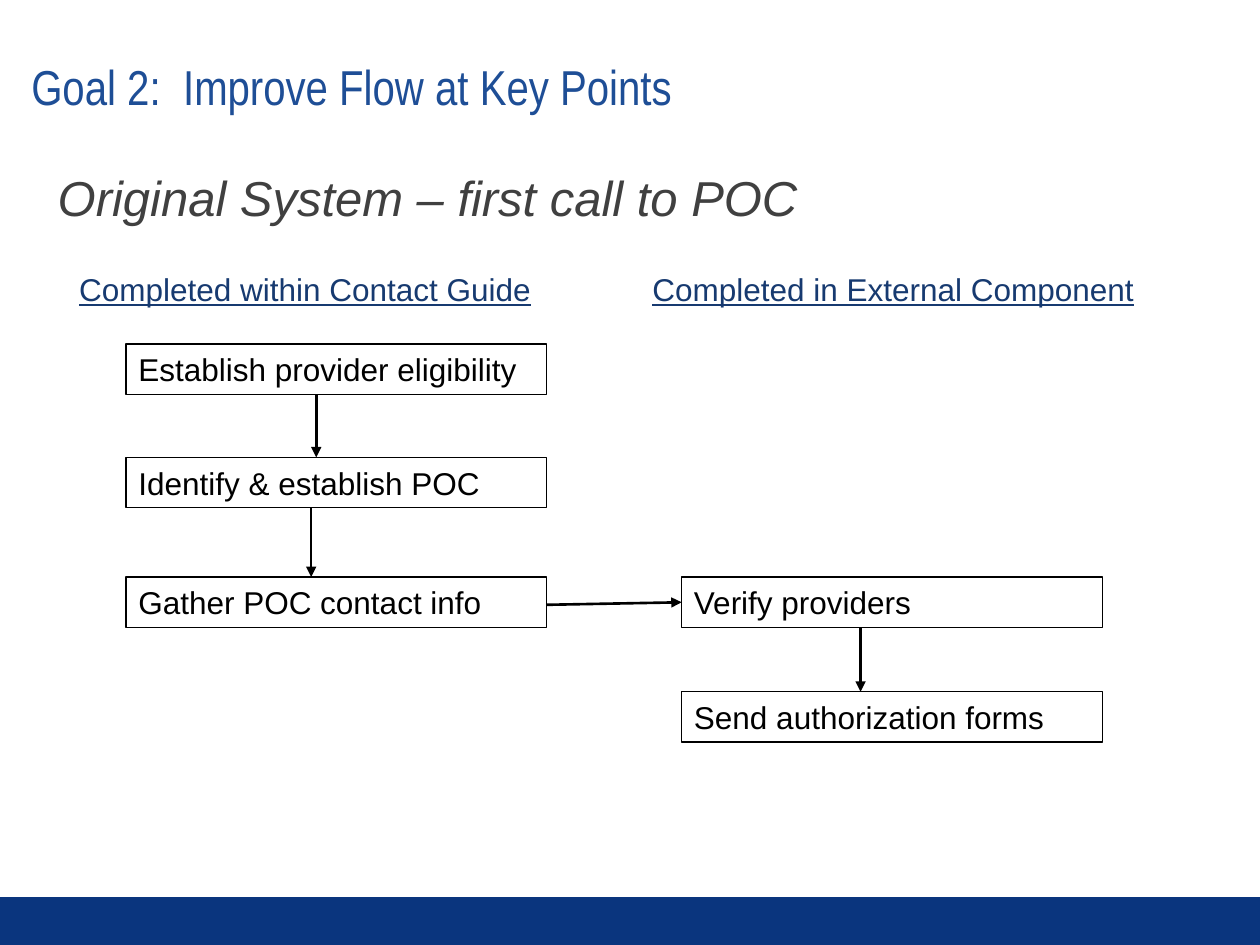
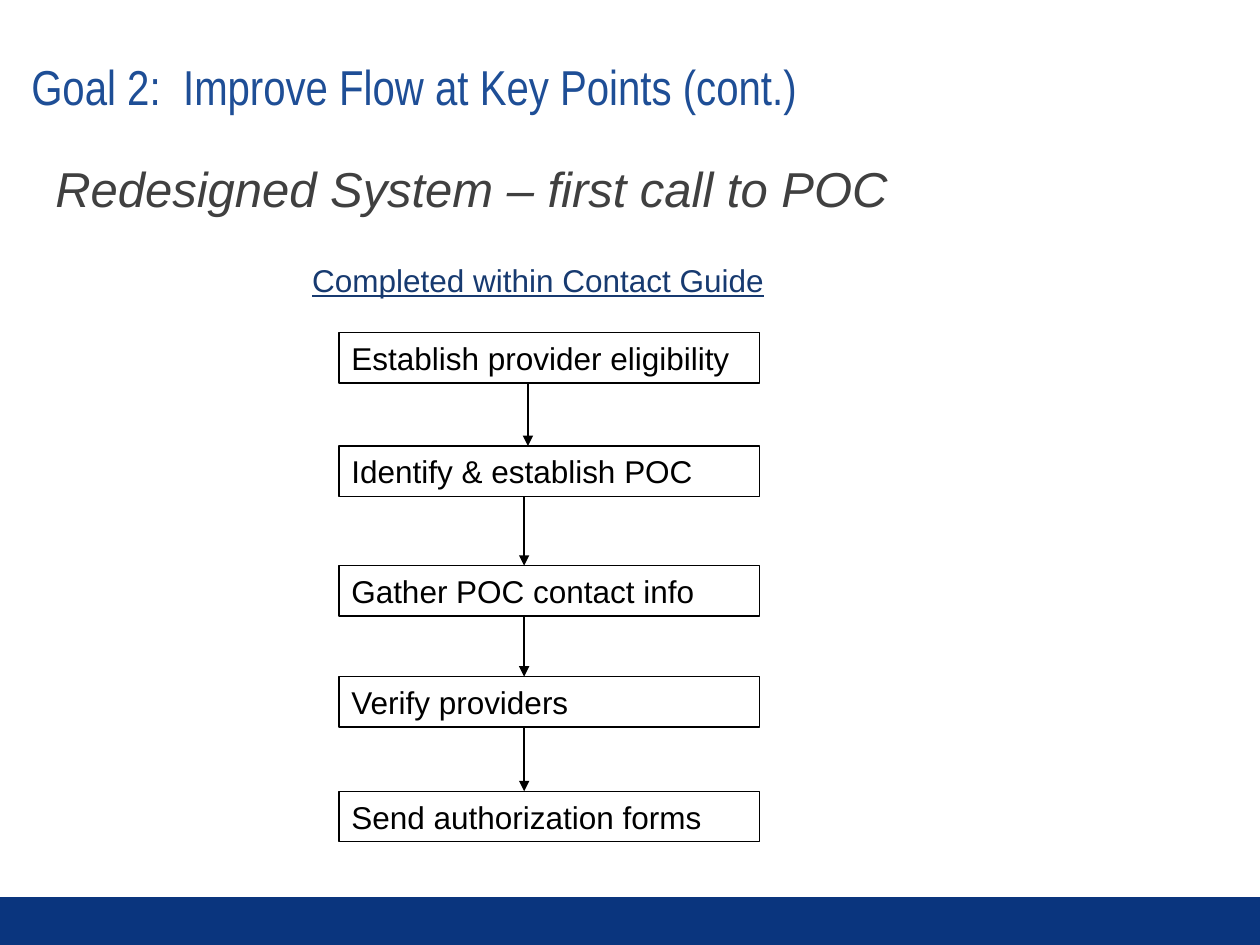
from lxml.etree import SubElement
from pptx import Presentation
from pptx.dml.color import RGBColor
from pptx.enum.shapes import MSO_CONNECTOR, MSO_SHAPE
from pptx.enum.text import MSO_ANCHOR, PP_ALIGN
from pptx.oxml.ns import qn
from pptx.util import Inches, Pt

COLORS = {"band": "0A357E", "title": "1E4E96", "subtitle": "404040",
          "heading": "173A70", "ink": "000000"}
TITLE = {"name": "Arial Narrow", "size": Pt(28), "color": "title"}
SUBTITLE = {"name": "Arial", "size": Pt(28), "italic": True, "color": "subtitle"}
HEADING = {"name": "Arial", "size": Pt(18), "underline": True, "color": "heading"}
STEP = {"name": "Arial", "size": Pt(18), "color": "ink"}
BOX_WIDTH, BOX_HEIGHT = 3.34, 0.4

STEPS = ["Establish provider eligibility", "Identify & establish POC",
         "Gather POC contact info", "Verify providers", "Send authorization forms"]

# Each column: heading, heading left, box left, steps, box tops, arrow positions
SLIDES = [
    {"title": "Goal 2:  Improve Flow at Key Points",
     "subtitle": "Original System – first call to POC",
     "subtitle_at": (0.36, 1.29), "heading_top": 2.1,
     "columns": [
         ("Completed within Contact Guide", 0.53, 1, STEPS[:3],
          [2.73, 3.63, 4.58], [2.51, 2.47]),
         ("Completed in External Component", 5.08, 5.41, STEPS[3:],
          [4.58, 5.49], [6.83])],
     "cross_arrows": [(4.34, 4.8, 5.41, 4.78)]},
    {"title": "Goal 2:  Improve Flow at Key Points (cont.)",
     "subtitle": "Redesigned System – first call to POC",
     "subtitle_at": (0.34, 1.22), "heading_top": 2.03,
     "columns": [
         ("Completed within Contact Guide", 2.38, 2.69, STEPS,
          [2.64, 3.54, 4.49, 5.37, 6.28], [4.19, 4.16, 4.16, 4.16])],
     "cross_arrows": []},
]


def write_text(shape, text, style):
    frame = shape.text_frame
    frame.word_wrap = True
    frame.vertical_anchor = MSO_ANCHOR.MIDDLE
    paragraph = frame.paragraphs[0]
    paragraph.text = text
    paragraph.alignment = PP_ALIGN.LEFT
    for name, value in style.items():
        if name == "color":
            paragraph.font.color.rgb = RGBColor.from_string(COLORS[value])
        else:
            setattr(paragraph.font, name, value)
    return paragraph


def add_arrow(slide, *ends):
    arrow = slide.shapes.add_connector(MSO_CONNECTOR.STRAIGHT, *map(Inches, ends))
    arrow.line.color.rgb = RGBColor.from_string(COLORS["ink"])
    arrow.line.width = Pt(1.5)
    properties = arrow.line._get_or_add_ln()
    SubElement(properties, qn("a:tailEnd"), type="triangle")
    SubElement(properties.getparent(), qn("a:effectLst"))


presentation = Presentation()
presentation.slide_width = Inches(10)
presentation.slide_height = Inches(7.5)

for content in SLIDES:
    slide = presentation.slides.add_slide(presentation.slide_layouts[6])
    shapes = slide.shapes

    band = shapes.add_shape(MSO_SHAPE.RECTANGLE, 0, Inches(7.12), Inches(10), Inches(0.38))
    band.shadow.inherit = False
    band.fill.solid()
    band.fill.fore_color.rgb = RGBColor.from_string(COLORS["band"])
    band.line.fill.background()

    title = shapes.add_textbox(Inches(0.15), Inches(0.2), Inches(9.67), Inches(1.02))
    write_text(title, content["title"], TITLE).line_spacing = 0.9
    title.text_frame.margin_right = Inches(0.2)

    left, top = content["subtitle_at"]
    subtitle = shapes.add_textbox(Inches(left), Inches(top), Inches(9.12), Inches(0.54))
    write_text(subtitle, content["subtitle"], SUBTITLE)

    for heading, heading_left, box_left, steps, tops, arrow_lefts in content["columns"]:
        heading_box = shapes.add_textbox(Inches(heading_left), Inches(content["heading_top"]),
                                         Inches(4.3), Inches(0.38))
        write_text(heading_box, heading, HEADING)

        for step, top in zip(steps, tops):
            box = shapes.add_shape(MSO_SHAPE.RECTANGLE, Inches(box_left), Inches(top),
                                   Inches(BOX_WIDTH), Inches(BOX_HEIGHT))
            box.shadow.inherit = False
            box.fill.background()
            box.line.color.rgb = RGBColor.from_string(COLORS["ink"])
            box.line.width = Pt(0.75)
            write_text(box, step, STEP)

        for x, top, next_top in zip(arrow_lefts, tops, tops[1:]):
            add_arrow(slide, x, top + BOX_HEIGHT, x, next_top)

    for ends in content["cross_arrows"]:
        add_arrow(slide, *ends)

presentation.save("out.pptx")
